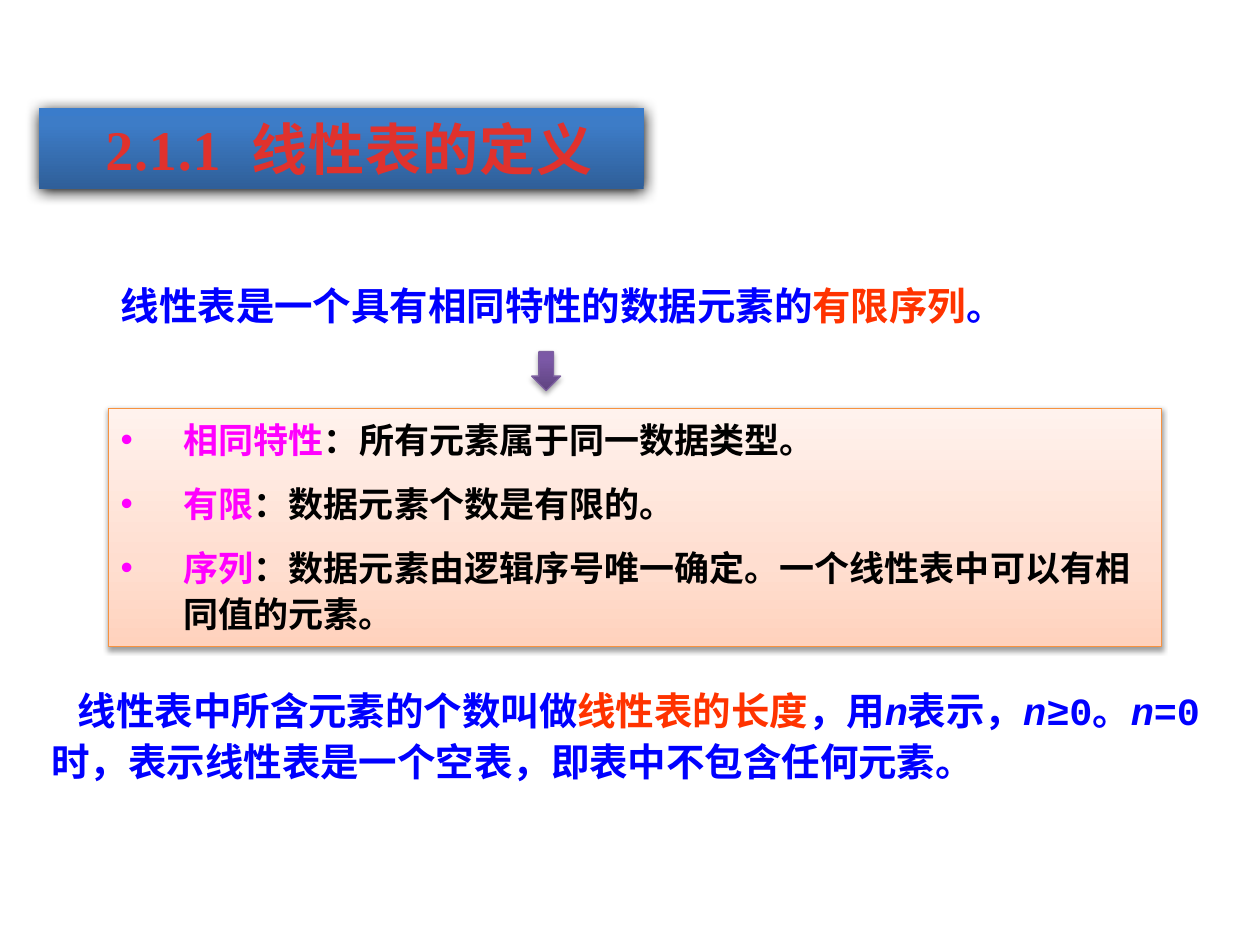
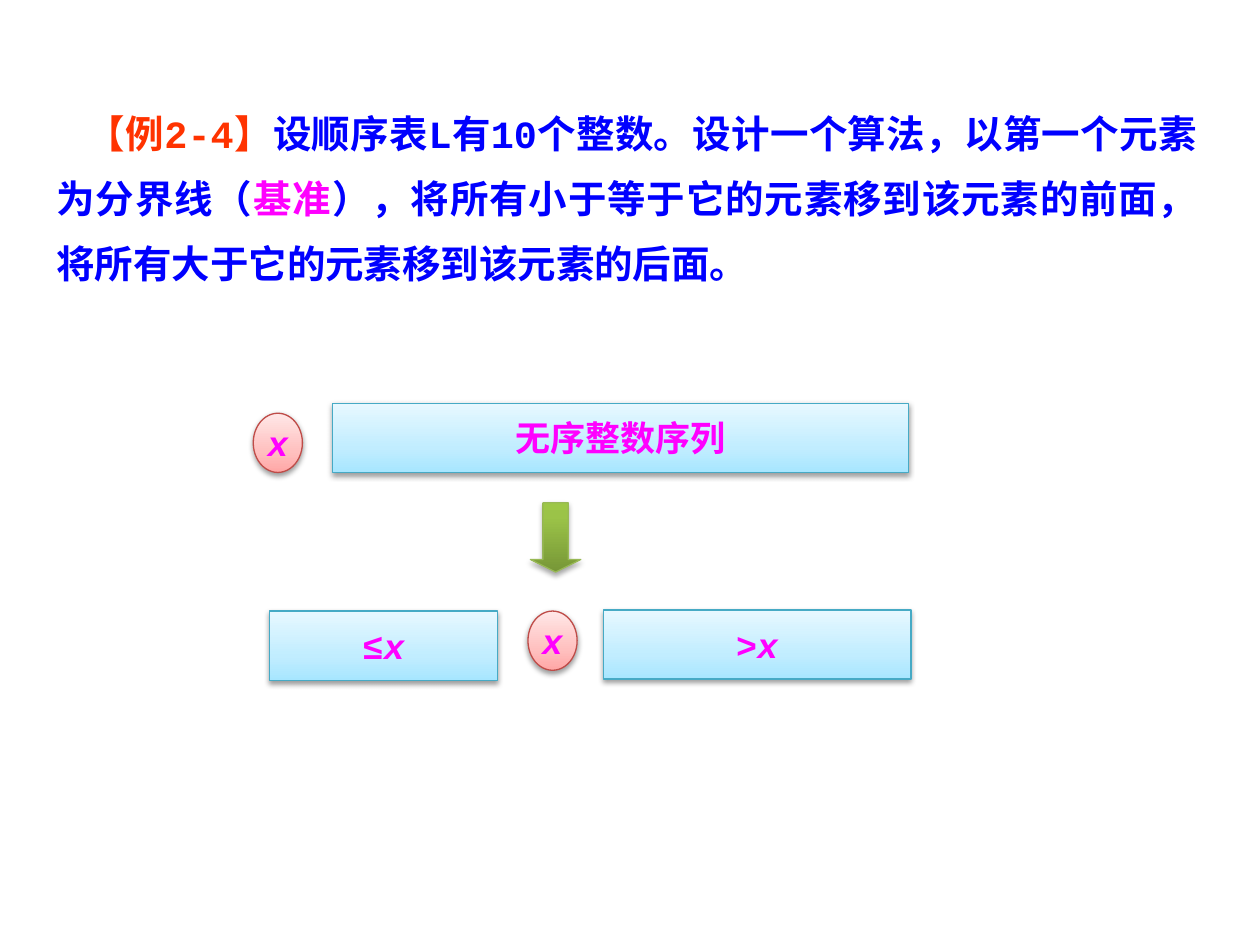
from dataclasses import dataclass

from pptx import Presentation
from pptx.dml.color import RGBColor
from pptx.enum.shapes import MSO_SHAPE
from pptx.enum.text import MSO_ANCHOR, PP_ALIGN
from pptx.oxml import parse_xml
from pptx.oxml.ns import nsdecls, qn
from pptx.util import Inches, Pt


@dataclass(frozen=True)
class Theme:
    blue: str = "0000FF"
    orange: str = "FF3300"
    pink: str = "FF00FF"
    black: str = "000000"
    red: str = "E0322D"
    head: int = 32
    body: int = 22
    note: int = 20
    times: str = "Times New Roman"
    mono: str = "Courier New"
    sans: str = "Calibri"
    edge: float = 0.75


T = Theme()
DEEP = (100, 8.5, 1)
SOFT = (38, 3.1, 1.6)
DIM = (35, 3.1, 1.8)

# look: gradient stops from bottom to top, line colour, shadow (alpha, blur, distance)
LOOKS = {
    "title": ([(0, "2F5F99"), (80, "3D7CC7"), (100, "3A7CCB")], None, DEEP),
    "peach": ([(0, "FFD2BD"), (35, "FFDED0"), (100, "FFF2ED")], "F69240", SOFT),
    "sky": ([(0, "A7E6FF"), (35, "C1EDFF"), (100, "E7F8FF")], "46AAC5", SOFT),
    "rose": ([(0, "FFA6A5"), (35, "FFC0BF"), (100, "FFE7E7")], "BF4C48", SOFT),
    "purple": ([(0, "5F4480"), (80, "7B58A6"), (100, "7C57A8")], "7D60A0", DIM),
    "green": ([(0, "779737"), (80, "9BC348"), (100, "9DC746")], "98B955", DIM),
}

# text runs: (words, colour) or (words, colour, italic)
TITLE = [("2.1.1", T.red), (" ", T.red), ("线性表的定义", T.red)]
MEANING = [
    ("线性表是一个具有相同特性的数据元素的", T.blue),
    ("有限序列", T.orange),
    ("。", T.blue),
]
TRAITS = [
    ("相同特性", "：所有元素属于同一数据类型。"),
    ("有限", "：数据元素个数是有限的。"),
    ("序列", "：数据元素由逻辑序号唯一确定。一个线性表中可以有相同值的元素。"),
]
LENGTH = [
    ("线性表中所含元素的个数叫做", T.blue),
    ("线性表的长度", T.orange),
    ("，用", T.blue),
    ("n", T.blue, True),
    ("表示，", T.blue),
    ("n", T.blue, True),
    ("≥0。", T.blue),
    ("n", T.blue, True),
    ("=0时，表示线性表是一个空表，即表中不包含任何元素。", T.blue),
]
TASK = [
    ("【例2-4】", T.orange),
    ("设顺序表L有10个整数。设计一个算法，以第一个元素为分界线（", T.blue),
    ("基准", T.pink),
    ("），将所有小于等于它的元素移到该元素的前面，将所有大于它的元素移到该元素的后面。", T.blue),
]
PIVOT = [("x", T.pink, True)]
PARTS = [
    (MSO_SHAPE.OVAL, "rose", (2.01, 3.28, 0.39, 0.47), PIVOT),
    (MSO_SHAPE.RECTANGLE, "sky", (2.64, 3.2, 4.57, 0.55), [("无序整数序列", T.pink)]),
    (MSO_SHAPE.RECTANGLE, "sky", (2.14, 4.85, 1.81, 0.55), [("≤", T.pink)] + PIVOT),
    (MSO_SHAPE.OVAL, "rose", (4.19, 4.85, 0.39, 0.47), PIVOT),
    (MSO_SHAPE.RECTANGLE, "sky", (4.79, 4.84, 2.44, 0.55), [(">", T.pink)] + PIVOT),
]


def place(box):
    return [Inches(n) for n in box]


def shade(shape, look):
    """Give the shape its gradient, line and shadow."""
    stops, line, (alpha, blur, gap) = LOOKS[look]
    props = shape.fill._xPr
    marks = "".join(
        f'<a:gs pos="{pos * 1000}"><a:srgbClr val="{tone}"/></a:gs>' for pos, tone in stops
    )
    props.append(parse_xml(
        f'<a:gradFill {nsdecls("a")} rotWithShape="1"><a:gsLst>{marks}</a:gsLst>'
        '<a:lin ang="16200000" scaled="0"/></a:gradFill>'
    ))
    if line:
        shape.line.color.rgb = RGBColor.from_string(line)
        shape.line.width = Pt(T.edge)
    else:
        shape.line.fill.background()
    shape.shadow.inherit = False
    props.find(qn("a:effectLst")).append(parse_xml(
        f'<a:outerShdw {nsdecls("a")} blurRad="{Pt(blur)}" dist="{Pt(gap)}" '
        'dir="5400000" rotWithShape="0"><a:srgbClr val="000000">'
        f'<a:alpha val="{alpha * 1000}"/></a:srgbClr></a:outerShdw>'
    ))


def write(para, runs, font, size, align=PP_ALIGN.LEFT, lead=1.0, left=0, first=0):
    """Fill a paragraph; left and first are its margin and first-line indent."""
    para.alignment = align
    para.line_spacing = lead
    props = para._p.get_or_add_pPr()
    props.set("marL", str(Inches(left)))
    props.set("indent", str(Inches(first)))
    for words, tone, *slant in runs:
        run = para.add_run()
        run.text = words
        face = run.font
        face.name, face.size, face.bold = font, Pt(size), True
        face.italic = bool(slant)
        face.color.rgb = RGBColor.from_string(tone)


def draw(slide, kind, look, box):
    shape = slide.shapes.add_shape(kind, *place(box))
    shade(shape, look)
    return shape


def note(slide, box, runs, font, **style):
    frame = slide.shapes.add_textbox(*place(box)).text_frame
    frame.word_wrap = True
    write(frame.paragraphs[0], runs, font, T.body, **style)


def define(slide):
    note(slide, (0.86, 2.19, 7.85, 0.47), MEANING, T.times)

    frame = draw(slide, MSO_SHAPE.RECTANGLE, "title", (0.31, 0.86, 4.8, 0.64)).text_frame
    frame.vertical_anchor = MSO_ANCHOR.TOP
    head = frame.paragraphs[0]
    write(head, TITLE, T.times, T.head, PP_ALIGN.CENTER, first=0.12)
    for run, gap in zip(head.runs, (50, 900, 50)):
        run.font._element.set("spc", str(gap))

    note(slide, (0.31, 5.37, 9.45, 0.88), LENGTH, T.mono, lead=1.1, first=0.21)

    frame = draw(slide, MSO_SHAPE.RECTANGLE, "peach", (0.86, 3.24, 8.36, 1.89)).text_frame
    frame.vertical_anchor = MSO_ANCHOR.TOP
    for i, (term, words) in enumerate(TRAITS):
        para = frame.add_paragraph() if i else frame.paragraphs[0]
        props = para._p.get_or_add_pPr()
        props.append(parse_xml(f'<a:buFont {nsdecls("a")} typeface="Arial"/>'))
        props.append(parse_xml(f'<a:buChar {nsdecls("a")} char="•"/>'))
        para.space_before = Pt(10 if i else 0)
        write(para, [(term, T.pink), (words, T.black)], T.sans, T.note,
              lead=1.1, left=0.5, first=-0.5)

    draw(slide, MSO_SHAPE.DOWN_ARROW, "purple", (4.22, 2.79, 0.23, 0.31))


def divide(slide):
    note(slide, (0.35, 0.68, 9.25, 1.6), TASK, T.mono,
         align=PP_ALIGN.JUSTIFY, lead=1.4, first=0.24)
    for kind, look, box, runs in PARTS:
        frame = draw(slide, kind, look, box).text_frame
        frame.word_wrap = False
        frame.vertical_anchor = MSO_ANCHOR.MIDDLE
        write(frame.paragraphs[0], runs, T.mono, T.note, PP_ALIGN.CENTER)
    arrow = draw(slide, MSO_SHAPE.DOWN_ARROW, "green", (4.21, 3.99, 0.4, 0.55))
    arrow.adjustments[1] = 0.25


def main():
    deck = Presentation()
    deck.slide_width, deck.slide_height = Inches(10), Inches(7.5)
    for build in (define, divide):
        build(deck.slides.add_slide(deck.slide_layouts[6]))
    deck.save("out.pptx")


if __name__ == "__main__":
    main()
